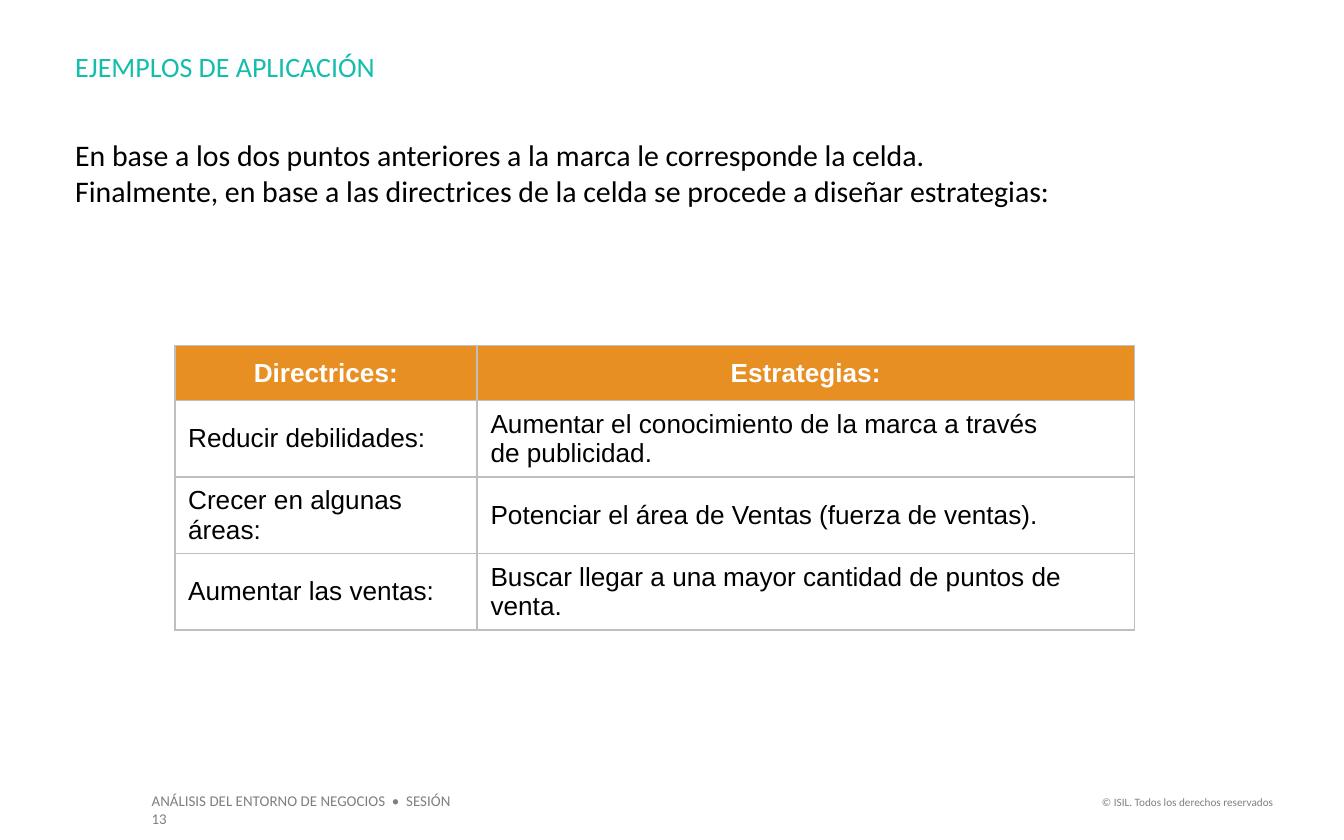
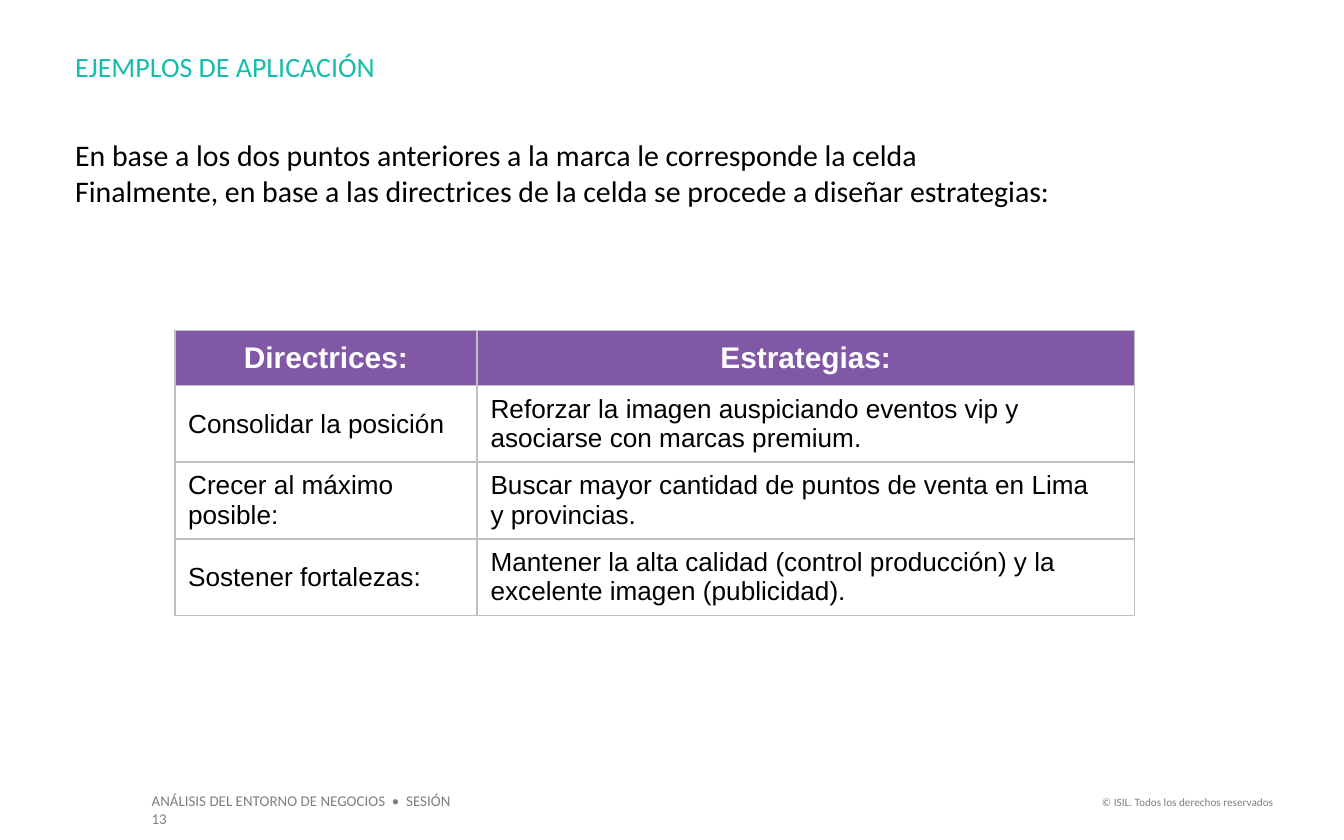
import lxml.etree
import pptx
import pptx.dml.color
import pptx.enum.text
import pptx.oxml
import pptx.oxml.ns
import pptx.util

Inches = pptx.util.Inches
Pt = pptx.util.Pt
RGBColor = pptx.dml.color.RGBColor
Align = pptx.enum.text.PP_ALIGN
Anchor = pptx.enum.text.MSO_ANCHOR
AutoSize = pptx.enum.text.MSO_AUTO_SIZE
qn = pptx.oxml.ns.qn

TEAL = RGBColor(0x15, 0xBD, 0xAD)
ORANGE = RGBColor(0xE8, 0x8F, 0x23)
PURPLE = RGBColor(0x80, 0x58, 0xA6)
GRAY = RGBColor(0x7F, 0x7F, 0x7F)
BORDER = RGBColor(0xBF, 0xBF, 0xBF)
BLACK = RGBColor(0, 0, 0)
WHITE = RGBColor(0xFF, 0xFF, 0xFF)

TITLE = "EJEMPLOS DE APLICACIÓN"
COURSE = "ANÁLISIS DEL ENTORNO DE NEGOCIOS  •  SESIÓN 13"
COPYRIGHT = "© ISIL. Todos los derechos reservados"
HEADINGS = ("Directrices:", "Estrategias:")
PROCEDURE = "Finalmente, en base a las directrices de la celda se procede a diseñar estrategias:"

COLUMN_WIDTHS = (2.25, 4.89)
HEADER_HEIGHT = 0.41
ROW_HEIGHT = 0.57


class Deck:
    text_font = "Calibri"
    table_font = "Arial"

    def __init__(self):
        self.presentation = pptx.Presentation()
        self.presentation.slide_width = Inches(10)
        self.presentation.slide_height = Inches(6.25)
        self.slide = None

    def new_slide(self):
        layout = self.presentation.slide_layouts.get_by_name("Title and Content")
        self.slide = self.presentation.slides.add_slide(layout)
        self.footer(COURSE, 1.03, 5.84, 2.56, 0.24, 8)
        self.footer(COPYRIGHT, 8.05, 5.87, 1.52, 0.2, 6, Align.RIGHT)

    def style(self, paragraph, font, size, color, align=Align.LEFT, bold=False):
        paragraph.alignment = align
        for run in paragraph.runs:
            run.font.name = font
            run.font.size = Pt(size)
            run.font.color.rgb = color
            run.font.bold = bold

    def footer(self, text, left, top, width, height, size, align=Align.LEFT):
        box = self.slide.shapes.add_textbox(
            Inches(left), Inches(top), Inches(width), Inches(height))
        box.text_frame.word_wrap = True
        box.text_frame.text = text
        self.style(box.text_frame.paragraphs[0], self.text_font, size, GRAY, align)

    def place(self, placeholder, top, width, height):
        """Move a placeholder to the left margin and give it a plain, top-set frame."""
        placeholder.left, placeholder.top = Inches(0.56), Inches(top)
        placeholder.width, placeholder.height = Inches(width), Inches(height)
        frame = placeholder.text_frame
        frame.margin_left = frame.margin_right = 0
        frame.margin_top = frame.margin_bottom = 0
        frame.vertical_anchor = Anchor.TOP
        frame.auto_size = AutoSize.NONE
        frame.word_wrap = True
        return frame

    def title(self, text):
        frame = self.place(self.slide.shapes.title, 0.37, 7.04, 0.25)
        frame.text = text
        self.style(frame.paragraphs[0], self.text_font, 15, TEAL)

    def body(self, lines):
        frame = self.place(self.slide.placeholders[1], 1.02, 8.92, 0.63)
        frame.text = "\n".join(lines)
        for paragraph in frame.paragraphs:
            properties = paragraph._p.get_or_add_pPr()
            properties.set("marL", "0")
            properties.set("indent", "0")
            lxml.etree.SubElement(properties, qn("a:buNone"))
            paragraph.space_before = Pt(0)
            self.style(paragraph, self.text_font, 16, BLACK)

    def table(self, rows, top, header_color, header_size):
        heights = [HEADER_HEIGHT] + [ROW_HEIGHT] * len(rows)
        table = self.slide.shapes.add_table(
            len(heights), len(COLUMN_WIDTHS), Inches(1.3), Inches(top),
            Inches(sum(COLUMN_WIDTHS)), Inches(sum(heights))).table
        table.horz_banding = False
        for column, width in zip(table.columns, COLUMN_WIDTHS):
            column.width = Inches(width)
        for row, height in zip(table.rows, heights):
            row.height = Inches(height)
        for column, heading in enumerate(HEADINGS):
            self.cell(table.cell(0, column), heading, header_color,
                      header_size, WHITE, Align.CENTER, True)
        for row, texts in enumerate(rows, 1):
            for column, text in enumerate(texts):
                self.cell(table.cell(row, column), text, WHITE, 14, BLACK)

    def cell(self, cell, text, fill, size, color, align=Align.LEFT, bold=False):
        cell.vertical_anchor = Anchor.MIDDLE
        cell.fill.solid()
        cell.fill.fore_color.rgb = fill
        paragraph = cell.text_frame.paragraphs[0]
        paragraph.text = text
        self.style(paragraph, self.table_font, size, color, align, bold)
        self.borders(cell)

    def borders(self, cell):
        properties = cell._tc.get_or_add_tcPr()
        for index, side in enumerate(("lnL", "lnR", "lnT", "lnB")):
            line = pptx.oxml.parse_xml(
                f'<a:{side} xmlns:a="{pptx.oxml.ns.nsuri("a")}" w="{Pt(1)}">'
                f'<a:solidFill><a:srgbClr val="{BORDER}"/></a:solidFill></a:{side}>')
            properties.insert(index, line)


def main():
    deck = Deck()
    examples = (
        ("En base a los dos puntos anteriores a la marca le corresponde la celda.",
         2.57, ORANGE, 14, (
             ("Reducir debilidades:",
              "Aumentar el conocimiento de la marca a través\nde publicidad."),
             ("Crecer en algunas áreas:",
              "Potenciar el área de Ventas (fuerza de ventas)."),
             ("Aumentar las ventas:",
              "Buscar llegar a una mayor cantidad de puntos de venta."))),
        ("En base a los dos puntos anteriores a la marca le corresponde la celda",
         2.46, PURPLE, 16, (
             ("Consolidar la posición",
              "Reforzar la imagen auspiciando eventos vip y asociarse con marcas premium."),
             ("Crecer al máximo posible:",
              "Buscar mayor cantidad de puntos de venta en Lima\ny provincias."),
             ("Sostener fortalezas:",
              "Mantener la alta calidad (control producción) y la excelente imagen"
              " (publicidad)."))),
    )
    for premise, table_top, header_color, header_size, strategies in examples:
        deck.new_slide()
        deck.title(TITLE)
        deck.body((premise, PROCEDURE))
        deck.table(strategies, table_top, header_color, header_size)
    deck.presentation.save("out.pptx")


if __name__ == "__main__":
    main()
